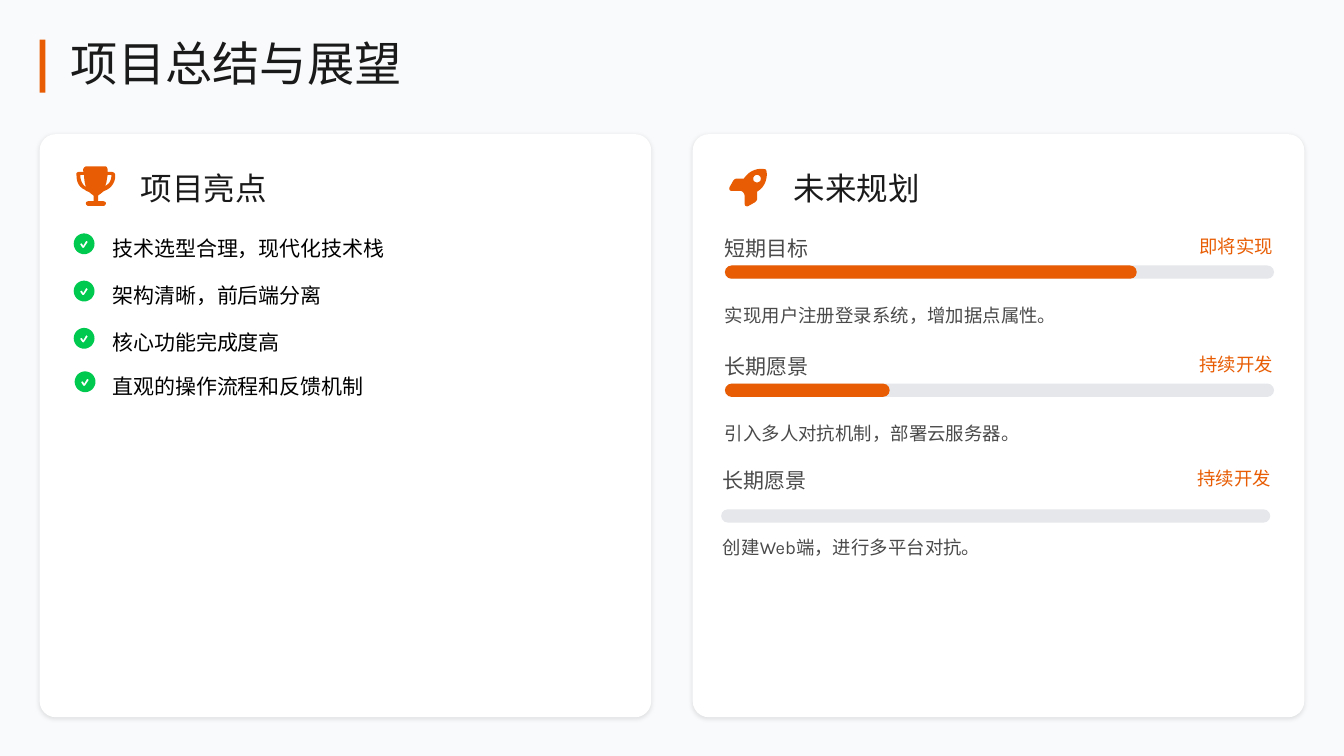
import lxml.etree
import pptx
import pptx.dml.color
import pptx.enum.shapes
import pptx.enum.text
import pptx.oxml
import pptx.oxml.ns
import pptx.util

Inches = pptx.util.Inches
SHAPES = pptx.enum.shapes.MSO_SHAPE
HEADING_FONT, BODY_FONT = "Noto Sans CJK SC", "Karla"
ORANGE, GREEN, WHITE = "E85D04", "00C950", "FFFFFF"
INK, GREY, BLACK, TRACK = "1A1A1A", "4A4A4A", "000000", "E5E7EB"

# Icon contours in hundredths of an inch: pairs are points, sextuples are Bezier curves.
TROPHY = [
    [(11, 0), (30, 0), (32, 0, 33, 2, 33, 4), (33, 6), (37, 6),
     (39, 6, 41, 7, 41, 10), (41, 18, 36, 23, 32, 25), (30, 26, 29, 26, 28, 27),
     (26, 29, 24, 30, 23, 31), (23, 37), (28, 37), (30, 37, 31, 38, 31, 39),
     (31, 41, 30, 42, 28, 42), (13, 42), (11, 42, 10, 41, 10, 39),
     (10, 38, 11, 37, 13, 37), (18, 37), (18, 31), (17, 30, 15, 29, 13, 27),
     (12, 27, 10, 26, 9, 25), (4, 23, 0, 18, 0, 10), (-1, 7, 1, 6, 3, 6),
     (8, 6), (7, 5, 7, 5, 7, 4), (7, 2, 9, 0, 11, 0)],
    [(8, 9), (4, 9), (4, 16, 7, 20, 10, 22), (9, 19, 8, 15, 8, 9)],
    [(30, 21), (34, 19, 37, 16, 37, 9), (33, 9), (32, 14, 32, 18, 30, 21)],
]
ROCKET = [
    [(11, 26), (2, 26), (0, 26, -1, 24, 0, 22), (4, 15), (5, 14, 6, 13, 8, 13),
     (15, 13), (22, 3, 31, 2, 37, 3), (38, 3, 39, 4, 39, 5),
     (40, 11, 39, 21, 29, 27), (29, 35), (29, 36, 28, 37, 27, 38), (20, 42),
     (18, 43, 16, 42, 16, 40), (16, 32), (16, 29, 14, 26, 11, 26)],
    [(33, 13), (33, 11, 31, 9, 29, 9), (27, 9, 25, 11, 25, 13),
     (25, 16, 27, 17, 29, 17), (31, 17, 33, 16, 33, 13)],
]
CHECK = [
    [(11, 22), (17, 22, 22, 17, 22, 11), (22, 5, 17, 0, 11, 0),
     (5, 0, 0, 5, 0, 11), (0, 17, 5, 22, 11, 22)],
    [(15, 9), (11, 15), (10, 15.5), (9, 15), (7, 12), (7, 11), (8, 10.5),
     (9, 11), (10, 13), (13, 8), (14, 8)],
]


def rgb(color):
    return pptx.dml.color.RGBColor.from_string(color)


def paint(shape, color):
    """Give a shape a flat fill with no line and no shadow."""
    shape.shadow.inherit = False
    shape.fill.solid()
    shape.fill.fore_color.rgb = rgb(color)
    shape.line.fill.background()


def add_box(slide, kind, left, top, width, height, color, radius=None):
    shape = slide.shapes.add_shape(
        kind, Inches(left), Inches(top), Inches(width), Inches(height))
    if radius is not None:
        shape.adjustments[0] = radius / min(width, height)
    paint(shape, color)
    return shape


def flatten(contour, steps=8):
    """Turn a contour with Bezier curves into plain points."""
    points = [contour[0]]
    for segment in contour[1:]:
        if len(segment) == 2:
            points.append(segment)
            continue
        x0, y0 = points[-1]
        x1, y1, x2, y2, x3, y3 = segment
        for step in range(1, steps + 1):
            t = step / steps
            a, b, c, d = (1 - t) ** 3, 3 * t * (1 - t) ** 2, 3 * t * t * (1 - t), t ** 3
            points.append((a * x0 + b * x1 + c * x2 + d * x3,
                           a * y0 + b * y1 + c * y2 + d * y3))
    return [(x * 10, y * 10) for x, y in points]


def add_icon(slide, contours, left, top, color):
    outlines = [flatten(contour) for contour in contours]
    builder = slide.shapes.build_freeform(*outlines[0][0], scale=Inches(0.001))
    for number, points in enumerate(outlines):
        if number:
            builder.move_to(*points[0])
        builder.add_line_segments(points[1:], close=True)
    paint(builder.convert_to_shape(Inches(left), Inches(top)), color)


def write(shape, text, size, color, font_name, spacing):
    frame = shape.text_frame
    frame.text = text
    frame.word_wrap = True
    frame.auto_size = pptx.enum.text.MSO_AUTO_SIZE.NONE
    frame.vertical_anchor = pptx.enum.text.MSO_ANCHOR.MIDDLE
    frame.margin_left = frame.margin_right = frame.margin_top = frame.margin_bottom = 0
    paragraph = frame.paragraphs[0]
    paragraph.alignment = pptx.enum.text.PP_ALIGN.LEFT
    paragraph.line_spacing = spacing
    paragraph.font.size = pptx.util.Pt(size)
    paragraph.font.name = font_name
    paragraph.font.color.rgb = rgb(color)


def add_text(slide, text, left, top, width, height, size, color,
             font_name=BODY_FONT, spacing=1.3):
    shape = slide.shapes.add_textbox(
        Inches(left), Inches(top), Inches(width), Inches(height))
    write(shape, text, size, color, font_name, spacing)


def add_title(slide, text, left, top, height):
    add_box(slide, SHAPES.RECTANGLE, left, top, 0.06, height, ORANGE)
    title = slide.shapes.title
    title.left, title.top = Inches(left + 0.33), Inches(top)
    title.width, title.height = Inches(4.06), Inches(height)
    write(title, text, 36, INK, HEADING_FONT, 0.9)


def add_card(slide, left, top, width, height, icon, heading):
    card = add_box(slide, SHAPES.ROUNDED_RECTANGLE, left, top, width, height, WHITE, 0.17)
    effects = card._element.spPr.find(pptx.oxml.ns.qn("a:effectLst"))
    effects.append(pptx.oxml.parse_xml(
        f'<a:outerShdw {pptx.oxml.ns.nsdecls("a")} blurRad="38100" dist="12700" '
        'dir="5400000" algn="t" rotWithShape="0"><a:srgbClr val="000000">'
        '<a:alpha val="10000"/></a:srgbClr></a:outerShdw>'))
    add_icon(slide, icon, left + 0.39, top + 0.34, ORANGE)
    add_text(slide, heading, left + 1.07, top + 0.33, 1.89, 0.44, 24, INK,
             HEADING_FONT, 1.1)


def add_highlight(slide, text, left, top):
    add_icon(slide, CHECK, left, top + 0.05, GREEN)
    add_text(slide, text, 1.19, top, 3.44, 0.33, 16, BLACK)


def add_goal(slide, left, top, label, status, note, share, bar_left, bar_top):
    """Place one goal: label, status, progress bar and note."""
    add_text(slide, label, left, top, 1.44, 0.33, 16, GREY)
    add_text(slide, status, left + 5.02, top + 0.02, 1.33, 0.28, 14, ORANGE, spacing=1.2)
    for part, color in ((1, TRACK), (share, ORANGE)):
        if part:
            add_box(slide, SHAPES.ROUNDED_RECTANGLE, bar_left, bar_top,
                    5.81 * part, 0.14, color, 0.07)
    add_text(slide, note, left, top + 0.75, 6.36, 0.28, 14, GREY, spacing=1.2)


def main():
    presentation = pptx.Presentation()
    presentation.slide_width, presentation.slide_height = Inches(14.22), Inches(8)
    slide = presentation.slides.add_slide(presentation.slide_layouts[5])
    slide.background.fill.solid()
    slide.background.fill.fore_color.rgb = rgb("F9FAFB")
    add_title(slide, "项目总结与展望", 0.42, 0.42, 0.56)

    add_card(slide, 0.42, 1.42, 6.47, 6.17, TROPHY, "项目亮点")
    for text, left, top in (
        ("技术选型合理，现代化技术栈", 0.78, 2.42),
        ("架构清晰，前后端分离", 0.78, 2.92),
        ("核心功能完成度高", 0.78, 3.42),
        ("直观的操作流程和反馈机制", 0.79, 3.88),
    ):
        add_highlight(slide, text, left, top)

    add_card(slide, 7.33, 1.42, 6.47, 6.17, ROCKET, "未来规划")
    for goal in (
        (7.67, 2.42, "短期目标", "即将实现", "实现用户注册登录系统，增加据点属性。", 0.75, 7.67, 2.81),
        (7.67, 3.67, "长期愿景", "持续开发", "引入多人对抗机制，部署云服务器。", 0.3, 7.67, 4.06),
        (7.65, 4.88, "长期愿景", "持续开发", "创建Web端，进行多平台对抗。", 0, 7.63, 5.39),
    ):
        add_goal(slide, *goal)
    presentation.save("out.pptx")


if __name__ == "__main__":
    main()
